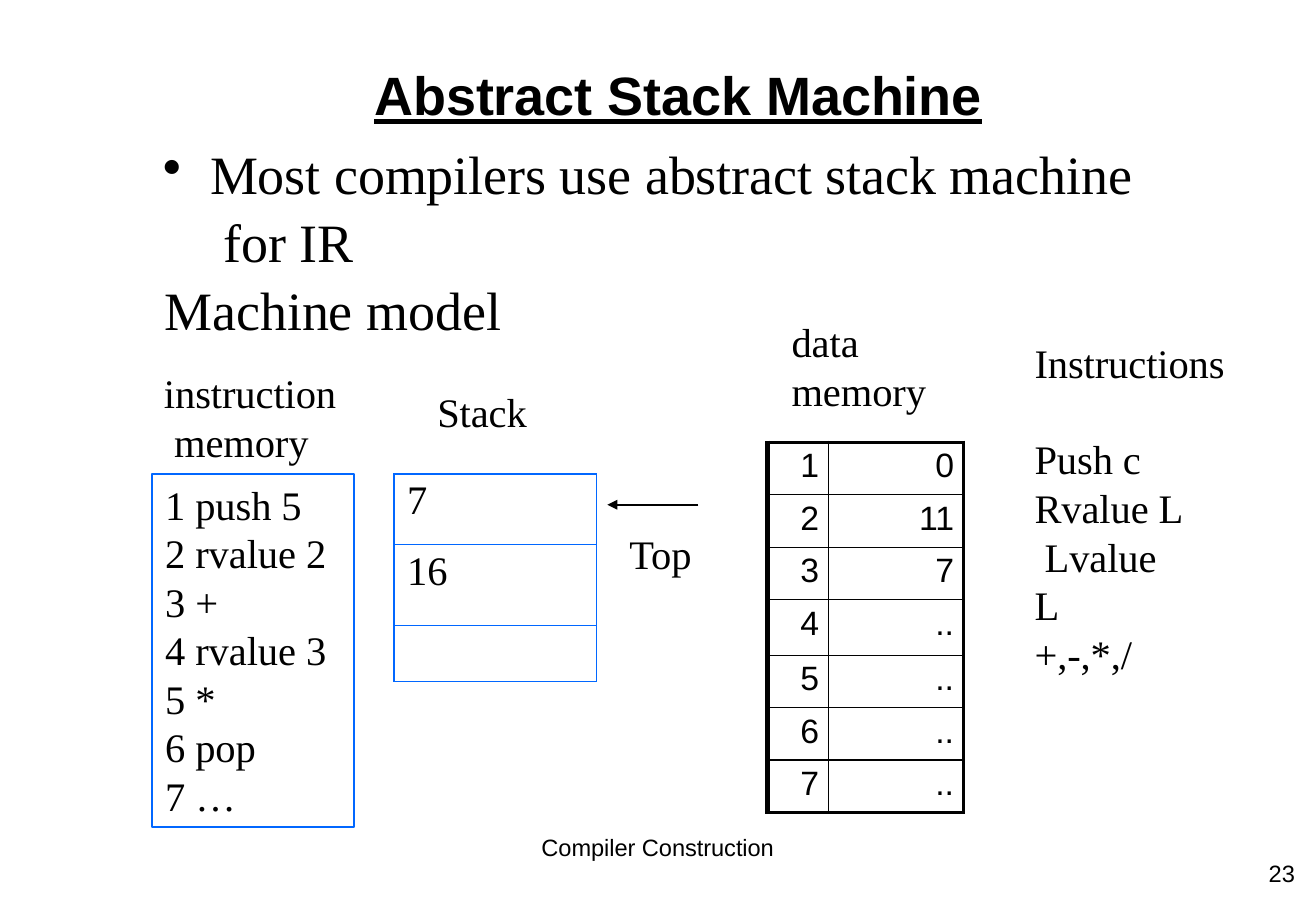
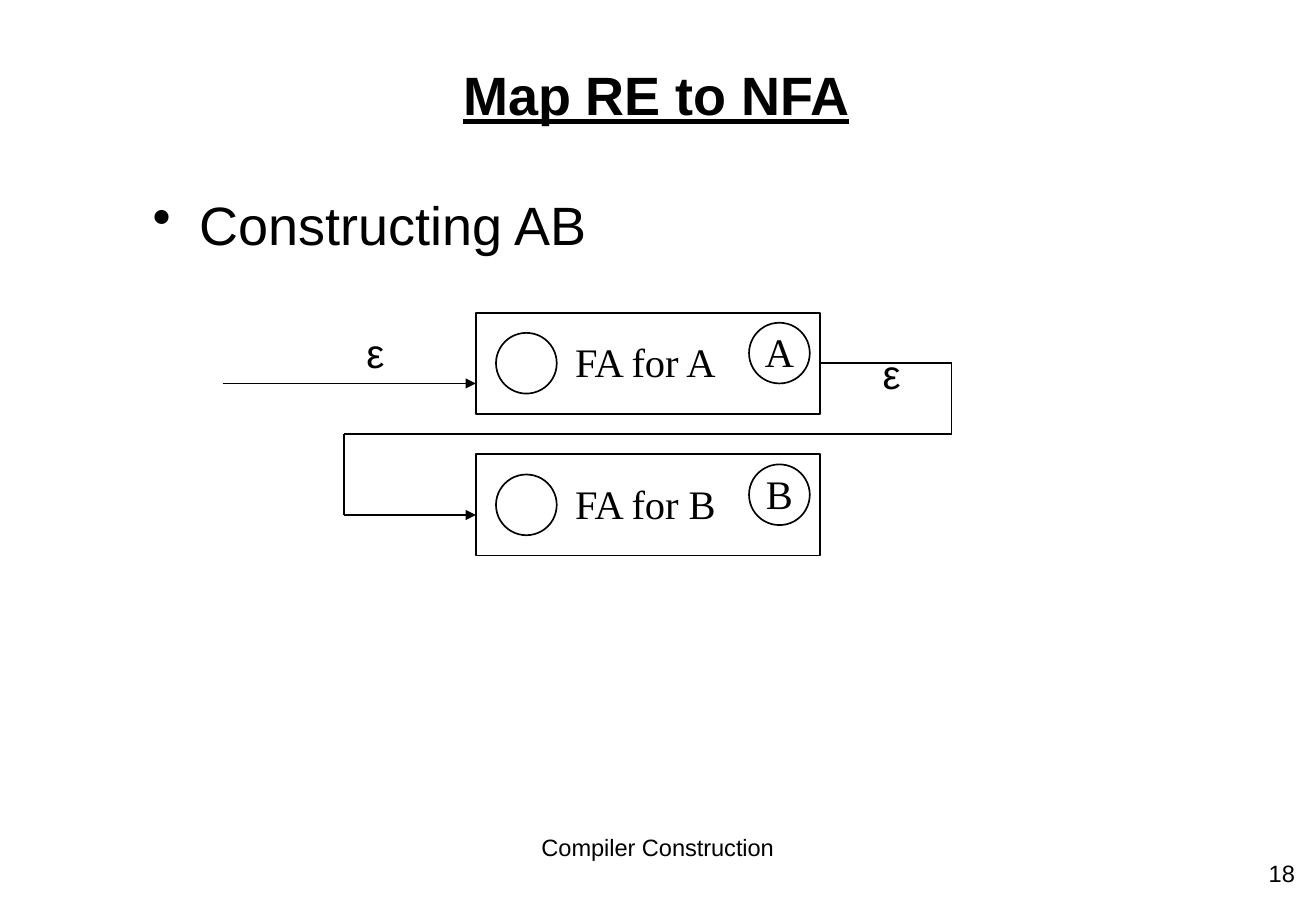
"""Build two compiler construction slides: a stack machine and an NFA."""
from itertools import pairwise

from lxml import etree
from pptx import Presentation
from pptx.dml.color import RGBColor
from pptx.enum import shapes, text
from pptx.oxml.ns import qn
from pptx.util import Pt

BLACK = RGBColor(0x00, 0x00, 0x00)
INK = RGBColor(0x01, 0x01, 0x01)
BLUE = RGBColor(0x01, 0x67, 0xFF)
SANS, SERIF = "Arial", "Times New Roman"
LEADING = 1.2


def style(para, size, face=SERIF, align=text.PP_ALIGN.LEFT):
    """Set the font, slightly tight tracking and alignment of a paragraph."""
    para.alignment = align
    font = para.font
    font.size, font.name = Pt(size), face
    font.color.rgb = BLACK
    para._p.pPr.find(qn("a:defRPr")).set("spc", "-5")


def clear_frame(frame, wrap=False, anchor=text.MSO_ANCHOR.TOP):
    """Remove the insets of a text frame and set its wrapping and anchor."""
    frame.margin_left = frame.margin_right = 0
    frame.margin_top = frame.margin_bottom = 0
    frame.word_wrap, frame.vertical_anchor = wrap, anchor


def write(frame, lines, size, face=SERIF, leading=LEADING):
    """Write one paragraph per line and return the paragraphs."""
    for index, line in enumerate(lines):
        para = frame.add_paragraph() if index else frame.paragraphs[0]
        para.text = line
        para.line_spacing = Pt(round(size * leading, 1))
        style(para, size, face)
    return frame.paragraphs


def indent(para, left, first):
    """Set the left margin and first-line indent of a paragraph."""
    properties = para._p.get_or_add_pPr()
    properties.set("marL", str(Pt(left)))
    properties.set("indent", str(Pt(first)))


def add_label(slide, left, top, width, height, *lines, size=24, face=SERIF,
              leading=LEADING, wrap=False):
    """Add a text box and return its paragraphs."""
    box = slide.shapes.add_textbox(Pt(left), Pt(top), Pt(width), Pt(height))
    clear_frame(box.text_frame, wrap)
    return write(box.text_frame, lines, size, face, leading)


def add_bullet(slide, left, top, width, height, line, face):
    """Add a large bulleted statement."""
    box = slide.shapes.add_textbox(Pt(left), Pt(top), Pt(width), Pt(height))
    clear_frame(box.text_frame, True)
    para = box.text_frame.paragraphs[0]
    para.text = line
    indent(para, 28, -28)
    bullet = etree.SubElement(para._p.get_or_add_pPr(), qn("a:buChar"))
    bullet.set("char", "•")
    para.line_spacing = 1.05
    style(para, 32, face)


def add_page(deck, title, left, width, number):
    """Add a slide with the shared title style, footer and number."""
    slide = deck.slides.add_slide(deck.slide_layouts[5])
    heading = slide.shapes.title
    heading.left, heading.top = Pt(left), Pt(36.5)
    heading.width, heading.height = Pt(width), Pt(40)
    clear_frame(heading.text_frame)
    font = write(heading.text_frame, [title], 32, SANS)[0].font
    font.bold, font.underline = True, text.MSO_UNDERLINE.HEAVY_LINE
    add_label(slide, 320.9, 494.6, 140, 18, "Compiler Construction",
              size=14, face=SANS, leading=1.17)
    add_label(slide, 752, 509.5, 18, 18, str(number),
              size=14, face=SANS, leading=1.17)
    return slide


def add_outline(slide, kind, left, top, width, height, color=INK):
    """Add an unfilled outlined shape with an empty text frame."""
    shape = slide.shapes.add_shape(kind, Pt(left), Pt(top), Pt(width), Pt(height))
    shape.shadow.inherit = False
    shape.fill.background()
    shape.line.color.rgb, shape.line.width = color, Pt(1)
    clear_frame(shape.text_frame)
    return shape


def add_centred(shape, line):
    """Write a centred line in a shape."""
    clear_frame(shape.text_frame, anchor=text.MSO_ANCHOR.MIDDLE)
    shape.text_frame.margin_bottom = Pt(2)
    write(shape.text_frame, [line], 24)[0].alignment = text.PP_ALIGN.CENTER


def add_line(slide, start, end, arrow=False):
    """Add a straight line, with an arrowhead at its end if asked."""
    line = slide.shapes.add_connector(
        shapes.MSO_CONNECTOR.STRAIGHT, *(Pt(value) for value in (*start, *end)))
    line.line.color.rgb, line.line.width = INK, Pt(1)
    if arrow:
        etree.SubElement(line.line._get_or_add_ln(), qn("a:tailEnd"),
                         type="triangle", w="med", len="med")
    etree.SubElement(line._element.spPr, qn("a:effectLst"))
    return line


def set_borders(cell, color, widths):
    """Draw the left, right, top and bottom borders of a cell."""
    properties = cell._tc.get_or_add_tcPr()
    for index, (side, width) in enumerate(zip("LRTB", widths)):
        border = etree.Element(qn(f"a:ln{side}"), w=str(Pt(width)))
        fill = etree.SubElement(border, qn("a:solidFill"))
        etree.SubElement(fill, qn("a:srgbClr"), val=str(color))
        properties.insert(index, border)


def add_grid(slide, left, top, columns, heights, values, color, edges, face,
             size, align, margin):
    """Add a plain table whose outer edges may be thicker than its rules."""
    count = len(heights)
    table = slide.shapes.add_table(
        count, len(columns), Pt(left), Pt(top),
        Pt(sum(columns)), Pt(sum(heights))).table
    table.first_row = table.horz_banding = False
    for column, width in zip(table.columns, columns):
        column.width = Pt(width)
    for y, (height, row) in enumerate(zip(heights, values)):
        table.rows[y].height = Pt(height)
        for x, value in enumerate(row):
            cell = table.cell(y, x)
            cell.margin_left = cell.margin_right = Pt(margin)
            cell.margin_top, cell.margin_bottom = Pt(3), 0
            cell.fill.background()
            outer = (x == 0, x == len(columns) - 1, y == 0, y == count - 1)
            set_borders(cell, color,
                        [edge if out else 1 for edge, out in zip(edges, outer)])
            para = cell.text_frame.paragraphs[0]
            para.text = value
            style(para, size, face, align)


def build_stack_machine(deck):
    """Build the slide on the abstract stack machine."""
    slide = add_page(deck, "Abstract Stack Machine", 221.8, 363, 23)
    add_bullet(slide, 96.5, 81.6, 580, 78,
               "Most compilers use abstract stack machine\v for IR", SERIF)
    add_label(slide, 97.5, 164.2, 202, 40, "Machine model", size=32)

    caption = add_label(slide, 97.2, 218.2, 106, 59, "instruction memory", wrap=True)
    indent(caption[0], 6, -6)
    add_label(slide, 259.2, 229.8, 56, 30, "Stack")
    add_label(slide, 373, 314, 40, 30, "Top")
    add_label(slide, 469.2, 188, 84, 59, "data memory", wrap=True)
    add_label(slide, 613.2, 200.2, 116, 30, "Instructions")
    listing = add_label(slide, 613.2, 257.6, 90, 146,
                        "Push c", "Rvalue L", "Lvalue L", "+,-,*,/", wrap=True)
    indent(listing[2], 0, 6)

    program = add_outline(slide, shapes.MSO_SHAPE.RECTANGLE,
                          90, 281, 120, 209.5, BLUE)
    program.text_frame.margin_left = Pt(7.9)
    program.text_frame.margin_top = Pt(3.4)
    steps = ["push 5", "rvalue 2", "+", "rvalue 3", "*", "pop", "…"]
    write(program.text_frame,
          [f"{index} {step}" for index, step in enumerate(steps, 1)], 24)

    add_grid(slide, 233.5, 281, [120], [42, 48, 33], [["7"], ["16"], [""]],
             BLUE, (1, 1, 1, 1), SERIF, 24, text.PP_ALIGN.LEFT, 7.9)
    data = ["0", "11", "7", "..", "..", "..", ".."]
    add_grid(slide, 455, 262.3, [36, 80], [31.1, 31.1, 31.1, 33, 31.1, 31.1, 31.1],
             [[str(index), value] for index, value in enumerate(data, 1)],
             INK, (3, 2.25, 2.25, 2.25), SANS, 20, text.PP_ALIGN.RIGHT, 5.5)
    add_line(slide, (414, 299.3), (360, 299.3), arrow=True)


def add_automaton(slide, top, name):
    """Add a boxed automaton with its start and final states."""
    box = add_outline(slide, shapes.MSO_SHAPE.RECTANGLE, 282, top, 204, 60)
    add_centred(box, f"FA for {name}")
    box.text_frame.margin_right = Pt(3)
    add_outline(slide, shapes.MSO_SHAPE.OVAL, 294, top + 12, 36, 36)
    final = add_outline(slide, shapes.MSO_SHAPE.OVAL, 444, top + 6, 36, 36)
    add_centred(final, name)
    return box


def build_nfa(deck):
    """Build the slide on mapping a regular expression to an NFA."""
    slide = add_page(deck, "Map RE to NFA", 274.5, 233, 18)
    add_bullet(slide, 90.5, 111.5, 262, 40, "Constructing AB", SANS)
    top, step = 185.4, 84
    first = add_automaton(slide, top, "A")
    add_automaton(slide, top + step, "B")
    for left, height in ((217.2, 194.5), (523.2, 206.7)):
        add_label(slide, left, height, 13, 30, "ε", face=SANS)

    add_line(slide, (132, top + 42), (282, top + 42), arrow=True)
    route = [(486, top + 30), (564, top + 30), (564, top + 72),
             (204, top + 72), (204, top + 120), (282, top + 120)]
    lines = [add_line(slide, start, end, arrow=end == route[-1])
             for start, end in pairwise(route)]
    lines[0].begin_connect(first, 3)


def main():
    """Build and save the deck."""
    deck = Presentation()
    deck.slide_width, deck.slide_height = Pt(780), Pt(539)
    build_stack_machine(deck)
    build_nfa(deck)
    deck.save("out.pptx")


if __name__ == "__main__":
    main()
